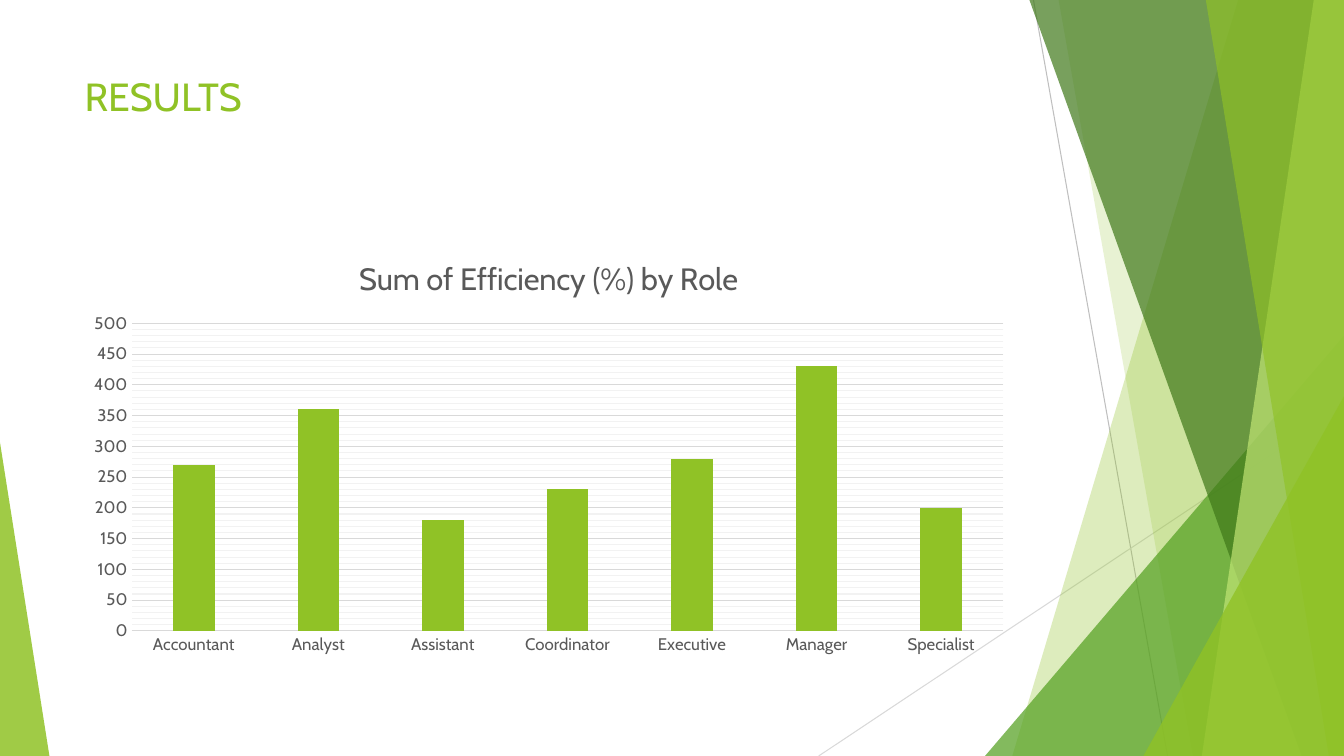
from lxml import etree
from pptx import Presentation
from pptx import util as u
from pptx.chart.data import CategoryChartData
from pptx.dml.color import RGBColor
from pptx.enum import chart as charts, shapes, text
from pptx.oxml import parse_xml
from pptx.oxml.ns import nsdecls, qn

WIDTH, HEIGHT = 13.33, 7.5
LEFT, CONTENT_WIDTH = 0.74, 9.4
LIME, GREY, PALE = "90C226", "595959", "D9D9D9"


def paint(color_format, color):
    color_format.rgb = RGBColor.from_string(color)


def style(font, size, color):
    font.name = "Cabin"
    font.size = u.Pt(size)
    font.bold = False
    paint(font.color, color)


deck = Presentation()
deck.slide_width, deck.slide_height = u.Inches(WIDTH), u.Inches(HEIGHT)
page = deck.slides.add_slide(deck.slide_layouts[6])

for start_x, start_y, end_x, color in [
    (10.25, 0, 11.58, "BFBFBF"),
    (WIDTH, 4.03, 8.12, PALE),
]:
    ray = page.shapes.add_connector(
        shapes.MSO_CONNECTOR.STRAIGHT,
        u.Inches(start_x), u.Inches(start_y), u.Inches(end_x), u.Inches(HEIGHT),
    )
    ray.line.width = u.Pt(0.75)
    paint(ray.line.color, color)
    etree.SubElement(ray._element.spPr, qn("a:effectLst"))

facets = [
    ("band", 12.28, 10.04, LIME, 30),
    ("band", 10.5, 11.83, LIME, 20),
    ("triangle", 9.77, 3.33, "54A021", 72),
    ("band", 10.21, 12.91, "3F7819", 70),
    ("band", 13.03, 11.92, "C0E474", 70),
    ("band", 11.96, 13.18, LIME, 65),
    ("triangle", 11.34, 3.93, LIME, 80),
    ("triangle", 0, 4.39, LIME, 85),
]
for kind, first, second, color, alpha in facets:
    if kind == "band":
        builder = page.shapes.build_freeform(u.Inches(first), 0)
        corners = [(WIDTH, 0), (WIDTH, HEIGHT), (second, HEIGHT)]
        builder.add_line_segments([(u.Inches(x), u.Inches(y)) for x, y in corners])
        facet = builder.convert_to_shape()
    else:
        width = WIDTH - first if first else 0.49
        facet = page.shapes.add_shape(
            shapes.MSO_SHAPE.ISOSCELES_TRIANGLE,
            u.Inches(first), u.Inches(second), u.Inches(width), u.Inches(HEIGHT - second),
        )
        facet.adjustments[0] = 1 if first else 0
    facet.shadow.inherit = False
    facet.line.fill.background()
    facet.fill.solid()
    paint(facet.fill.fore_color, color)
    tint = facet._element.spPr.find(qn("a:solidFill")).find(qn("a:srgbClr"))
    etree.SubElement(tint, qn("a:alpha")).set("val", str(alpha * 1000))

box = page.shapes.add_textbox(
    u.Inches(LEFT), u.Inches(0.67), u.Inches(CONTENT_WIDTH), u.Inches(1.44)
)
box.text_frame.word_wrap = True
box.text_frame.vertical_anchor = text.MSO_ANCHOR.TOP
box.text_frame.text = "RESULTS"
style(box.text_frame.paragraphs[0].runs[0].font, 28, LIME)

efficiency = CategoryChartData()
efficiency.categories = [
    "Accountant", "Analyst", "Assistant", "Coordinator", "Executive", "Manager", "Specialist",
]
efficiency.add_series("Series 1", [270, 360, 180, 230, 280, 430, 200])
chart = page.shapes.add_chart(
    charts.XL_CHART_TYPE.COLUMN_CLUSTERED,
    u.Inches(LEFT), u.Inches(2.36), u.Inches(CONTENT_WIDTH), u.Inches(4.24), efficiency,
).chart
style(chart.font, 10, "000000")
chart.has_legend = False
chart.has_title = True
heading = chart.chart_title.text_frame
heading.text = "Sum of Efficiency (%) by Role"
style(heading.paragraphs[0].runs[0].font, 22, GREY)

plot = chart.plots[0]
plot.gap_width = 199
plot.vary_by_categories = False
columns = plot.series[0].format.fill
columns.solid()
paint(columns.fore_color, LIME)

roles, scale = chart.category_axis, chart.value_axis
for axis in (roles, scale):
    axis.major_tick_mark = axis.minor_tick_mark = charts.XL_TICK_MARK.NONE
    style(axis.tick_labels.font, 12, GREY)
scale.minimum_scale, scale.maximum_scale = 0, 500
scale.major_unit, scale.minor_unit = 50, 10
scale.has_major_gridlines = scale.has_minor_gridlines = True
scale.format.line.fill.background()
for line in (roles.format.line, scale.major_gridlines.format.line):
    line.width = u.Pt(0.75)
    paint(line.color, PALE)
scale._element.find(qn("c:minorGridlines")).append(parse_xml(
    f'<c:spPr {nsdecls("c", "a")}><a:ln w="{u.Pt(0.75)}"><a:solidFill>'
    '<a:srgbClr val="F2F2F2"/></a:solidFill></a:ln></c:spPr>'
))

plot_area = chart._chartSpace.chart.plotArea
for layout in plot_area.findall(qn("c:layout")):
    plot_area.remove(layout)
plot_area.insert(0, parse_xml(
    f'<c:layout {nsdecls("c")}><c:manualLayout><c:layoutTarget val="inner"/>'
    '<c:xMode val="edge"/><c:yMode val="edge"/>'
    '<c:x val="0.06"/><c:y val="0.2"/><c:w val="0.92"/><c:h val="0.72"/>'
    '</c:manualLayout></c:layout>'
))

deck.save("out.pptx")
